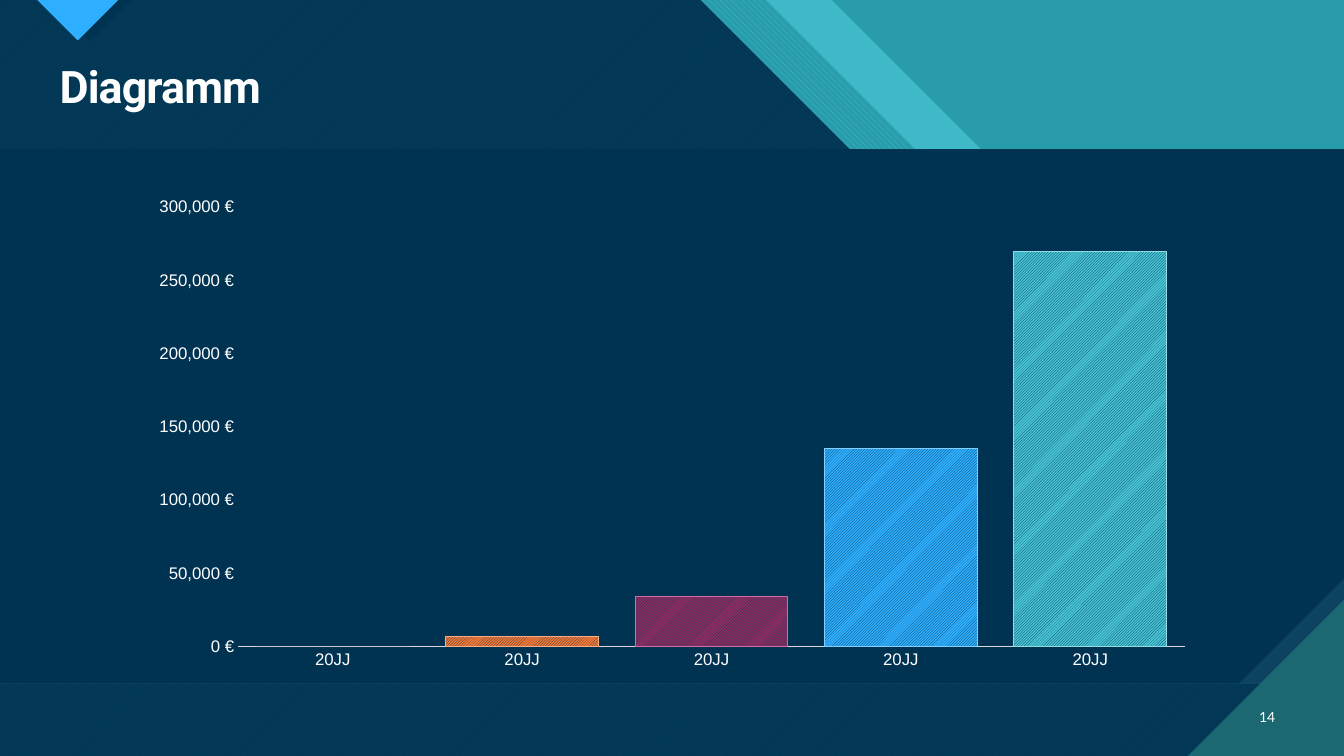
from lxml import etree
from pptx import Presentation
from pptx.chart.data import CategoryChartData
from pptx.dml.color import RGBColor
from pptx.enum.chart import XL_CHART_TYPE, XL_TICK_MARK
from pptx.enum.dml import MSO_PATTERN
from pptx.enum.shapes import MSO_SHAPE
from pptx.enum.text import MSO_ANCHOR, PP_ALIGN
from pptx.oxml.ns import qn
from pptx.util import Cm, Pt

COLUMN = XL_CHART_TYPE.COLUMN_CLUSTERED
NO_TICK = XL_TICK_MARK.NONE
DOWN_STRIPES = MSO_PATTERN.WIDE_DOWNWARD_DIAGONAL
UP_STRIPES = MSO_PATTERN.WIDE_UPWARD_DIAGONAL
BAR_STRIPES = MSO_PATTERN.LIGHT_UPWARD_DIAGONAL
HORIZONTAL = MSO_PATTERN.DARK_HORIZONTAL
VERTICAL = MSO_PATTERN.DARK_VERTICAL
RECTANGLE = MSO_SHAPE.RECTANGLE
MIDDLE = MSO_ANCHOR.MIDDLE
LEFT, RIGHT = PP_ALIGN.LEFT, PP_ALIGN.RIGHT

COLORS = {
    "navy": "003352", "slate": "0C4360", "teal": "299CAB",
    "aqua": "47C3D3", "pine": "1B6872", "blue": "2FAFFF",
    "orange": "F47735", "berry": "8F2D63", "white": "FFFFFF",
    "axis": "D9D9D9", "light_orange": "F8AD86", "light_berry": "D36BA5",
    "light_blue": "82CFFF", "light_aqua": "91DBE5",
}
WIDTH, HEIGHT = 33.87, 19.05
PANEL_TOP, PANEL_BOTTOM, PANEL_CUT = 3.76, 17.22, 2.65
BEND = 7.54
CORNER = 3.92
BARS = [
    ("20JJ", 0, "berry", "light_berry"),
    ("20JJ", 7000, "orange", "light_orange"),
    ("20JJ", 34000, "berry", "light_berry"),
    ("20JJ", 135000, "blue", "light_blue"),
    ("20JJ", 270000, "aqua", "light_aqua"),
]


def rgb(name):
    """Return the named colour."""
    return RGBColor.from_string(COLORS[name])


def fill_solid(fill, color, opacity=100):
    """Fill with one colour at an opacity in percent."""
    fill.solid()
    fill.fore_color.rgb = rgb(color)
    if opacity < 100:
        color_element = fill._xPr.find(".//" + qn("a:srgbClr"))
        alpha = etree.SubElement(color_element, qn("a:alpha"))
        alpha.set("val", str(opacity * 1000))


def fill_pattern(fill, pattern, front, back):
    """Fill with a two-colour pattern."""
    fill.patterned()
    fill.pattern = pattern
    fill.fore_color.rgb = rgb(front)
    fill.back_color.rgb = rgb(back)


def add_outline(slide, points):
    """Add a closed polygon from points in centimetres and return its fill."""
    start, *others = [(Cm(x), Cm(y)) for x, y in points]
    builder = slide.shapes.build_freeform(*start)
    builder.add_line_segments(others, close=True)
    shape = builder.convert_to_shape()
    shape.shadow.inherit = False
    shape.line.fill.background()
    return shape.fill


def slanted_layer(edge):
    """Return a full-slide layer whose top right is cut from the edge at 45 degrees."""
    return [(0, 0), (edge, 0), (edge + BEND, BEND), (WIDTH, BEND),
            (WIDTH, HEIGHT), (0, HEIGHT)]


def pointer(center, half_width):
    """Return a triangle that hangs from the top edge."""
    return [(center - half_width, 0), (center + half_width, 0),
            (center, half_width)]


def add_backdrop(slide):
    """Add the slanted layers, the pointer, the panel and the corner."""
    fill_solid(slide.background.fill, "teal")
    fill_solid(add_outline(slide, slanted_layer(20.96)), "aqua", 74)
    fill_pattern(add_outline(slide, slanted_layer(19.3)),
                 DOWN_STRIPES, "aqua", "teal")
    fill_pattern(add_outline(slide, slanted_layer(17.65)),
                 UP_STRIPES, "aqua", "pine")
    fill_solid(add_outline(slide, slanted_layer(17.65)), "navy", 90)
    fill_solid(add_outline(slide, pointer(2.28, 1.05)), "navy")
    fill_pattern(add_outline(slide, pointer(1.96, 1.02)),
                 HORIZONTAL, "blue", "pine")

    panel_back = slide.shapes.add_shape(
        RECTANGLE, 0, Cm(PANEL_TOP), Cm(WIDTH), Cm(PANEL_BOTTOM - PANEL_TOP))
    panel_back.shadow.inherit = False
    panel_back.line.fill.background()
    fill_pattern(panel_back.fill, VERTICAL, "slate", "pine")
    panel = [(0, PANEL_TOP), (WIDTH, PANEL_TOP),
             (WIDTH, PANEL_BOTTOM - PANEL_CUT),
             (WIDTH - PANEL_CUT, PANEL_BOTTOM), (0, PANEL_BOTTOM)]
    fill_solid(add_outline(slide, panel), "navy")

    corner = [(WIDTH - CORNER, HEIGHT), (WIDTH, HEIGHT),
              (WIDTH, HEIGHT - CORNER)]
    fill_pattern(add_outline(slide, corner), HORIZONTAL, "pine", "aqua")


def style_font(font, name, size, bold=False):
    """Set a white font."""
    font.name = name
    font.size = Pt(size)
    font.bold = bold
    font.color.rgb = rgb("white")


def add_title(slide, text):
    """Place the title placeholder in front of the backdrop."""
    title = slide.shapes.title
    title.element.getparent().append(title.element)
    title.left, title.top = Cm(1.25), Cm(1.5)
    title.width, title.height = Cm(31.14), Cm(1.5)
    frame = title.text_frame
    frame.text = text
    frame.vertical_anchor = MIDDLE
    paragraph = frame.paragraphs[0]
    paragraph.alignment = LEFT
    paragraph.line_spacing = 0.9
    run = paragraph.runs[0]
    style_font(run.font, "Roboto", 32, True)
    run._r.get_or_add_rPr().set("spc", "-70")


def add_page_number(slide, text):
    """Add the page number in the corner."""
    box = slide.shapes.add_textbox(Cm(31.27), Cm(17.55), Cm(1.12), Cm(1.02))
    frame = box.text_frame
    frame.word_wrap = True
    frame.vertical_anchor = MIDDLE
    frame.text = text
    paragraph = frame.paragraphs[0]
    paragraph.alignment = RIGHT
    style_font(paragraph.runs[0].font, "Lato", 10)


def style_axis(axis):
    """Give an axis white labels, no ticks and no gridlines."""
    axis.major_tick_mark = axis.minor_tick_mark = NO_TICK
    axis.has_major_gridlines = False
    style_font(axis.tick_labels.font, "Arial", 12)


def add_revenue_chart(slide):
    """Add the column chart with one striped colour for each bar."""
    data = CategoryChartData()
    data.categories = [bar[0] for bar in BARS]
    data.add_series("Series 1", [bar[1] for bar in BARS])
    chart = slide.shapes.add_chart(
        COLUMN, Cm(3.48), Cm(4.75), Cm(26.92), Cm(12.34), data).chart
    chart.has_legend = False
    chart.has_title = False
    chart.font.name = "Arial"
    chart.font.size = Pt(10)

    style_axis(chart.category_axis)
    chart.category_axis.format.line.color.rgb = rgb("axis")
    chart.category_axis.format.line.width = Pt(0.75)
    values = chart.value_axis
    style_axis(values)
    values.format.line.fill.background()
    values.minimum_scale, values.maximum_scale = 0, 300000
    values.major_unit = 50000
    values.tick_labels.number_format = '#,##0\\ "€"'
    values.tick_labels.number_format_is_linked = False

    plot = chart.plots[0]
    plot.gap_width = 24
    plot.vary_by_categories = False
    series = plot.series[0]
    fill_solid(series.format.fill, "berry")
    for index, (_, value, color, border) in enumerate(BARS):
        if value:
            bar = series.points[index].format
            fill_pattern(bar.fill, BAR_STRIPES, "navy", color)
            bar.line.color.rgb = rgb(border)
            bar.line.width = Pt(0.75)


def main():
    """Build the slide and save it."""
    presentation = Presentation()
    presentation.slide_width, presentation.slide_height = Cm(WIDTH), Cm(HEIGHT)
    slide = presentation.slides.add_slide(presentation.slide_layouts[5])
    add_backdrop(slide)
    add_title(slide, "Diagramm")
    add_revenue_chart(slide)
    add_page_number(slide, "14")
    presentation.save("out.pptx")


if __name__ == "__main__":
    main()
